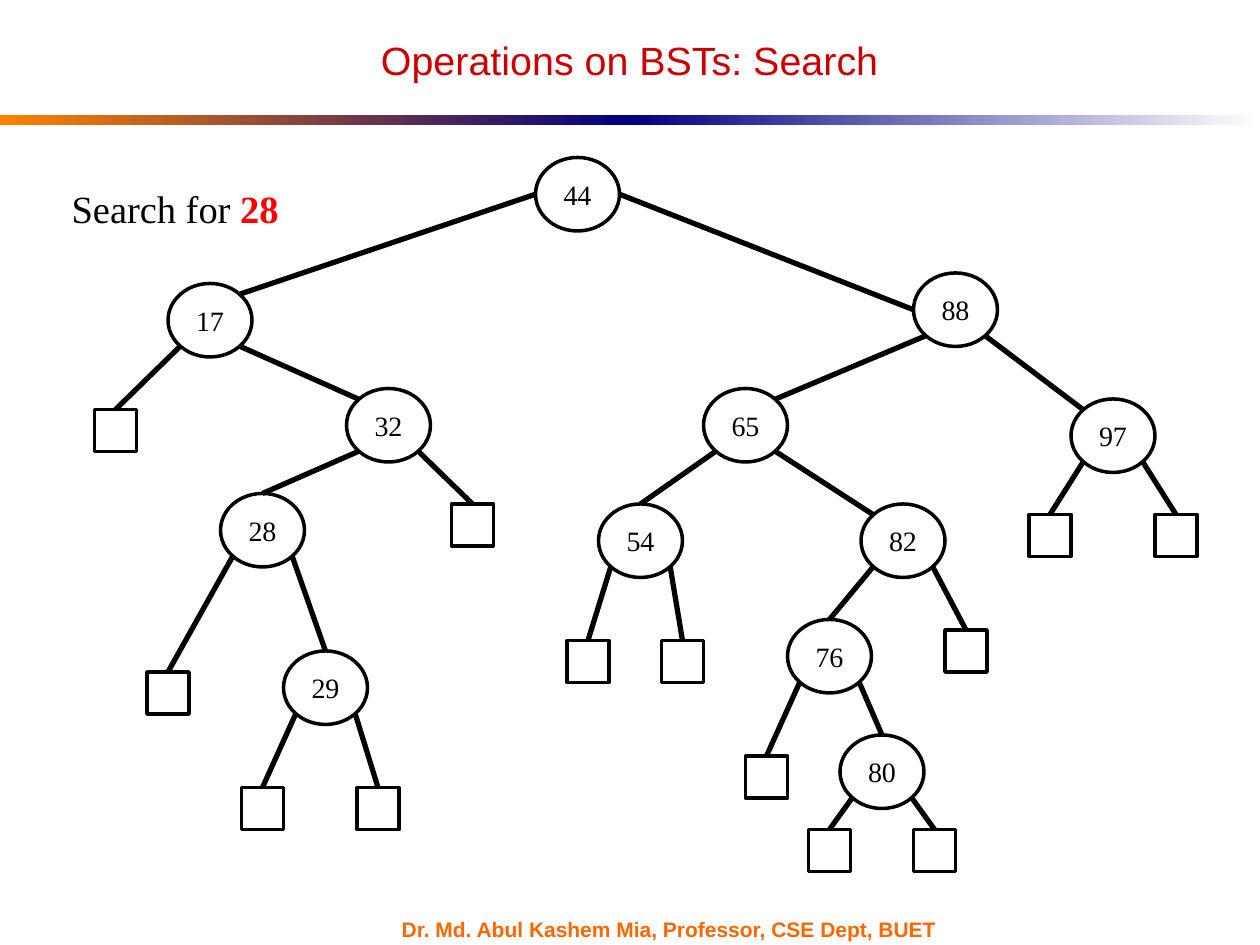
import pptx
import pptx.dml.color
import pptx.enum.shapes
import pptx.enum.text
import pptx.oxml.ns
import pptx.util
from lxml import etree

COLORS = {
    "ink": "000000", "paper": "FFFFFF", "title": "CC0000", "target": "FF0000",
    "footer": "FF6600", "orange": "FF8200", "navy": "000082",
}
SERIF, SANS = "Times New Roman", "Arial"
WIDTH, HEIGHT = 10, 7.5
COLUMNS, ROWS = 120, 90
NODE_SIZE, LEAF_SIZE = (8, 7), (4, 4)

# key: (column, row, parent, side left on parent, side met on node)
NODES = {
    "44": (51, 15, None, None, None),
    "17": (16, 27, "44", "left", "top right"),
    "32": (33, 37, "17", "bottom right", "top left"),
    "28": (21, 47, "32", "bottom left", "top"),
    "29": (27, 62, "28", "bottom right", "top"),
    "88": (87, 26, "44", "right", "left"),
    "65": (67, 37, "88", "bottom left", "top right"),
    "97": (102, 38, "88", "bottom right", "top left"),
    "54": (57, 48, "65", "bottom left", "top"),
    "82": (82, 48, "65", "bottom right", "top left"),
    "76": (75, 59, "82", "bottom left", "top"),
    "80": (80, 70, "76", "bottom right", "top"),
}
LEAVES = [
    (9, 39, "17", "bottom left"), (43, 48, "32", "bottom right"),
    (14, 64, "28", "bottom left"),
    (23, 75, "29", "bottom left"), (34, 75, "29", "bottom right"),
    (54, 61, "54", "bottom left"), (63, 61, "54", "bottom right"),
    (98, 49, "97", "bottom left"), (110, 49, "97", "bottom right"),
    (71, 72, "76", "bottom left"), (90, 60, "82", "bottom right"),
    (77, 79, "80", "bottom left"), (87, 79, "80", "bottom right"),
]
BANDS = [("orange", "navy"), ("navy", "paper")]
TITLE = "Operations on BSTs: Search"
QUERY = [("Search for ", "ink", False), ("28", "target", True)]
FOOTER = "Dr. Md. Abul Kashem Mia, Professor, CSE Dept, BUET"

SHAPES = pptx.enum.shapes.MSO_SHAPE
MIDDLE = pptx.enum.text.MSO_ANCHOR.MIDDLE
CENTER = pptx.enum.text.PP_ALIGN.CENTER
DIAGONAL = 0.5 ** 0.5
DIRECTIONS = {"left": (-1, 0), "right": (1, 0), "top": (0, -1), "bottom": (0, 1)}

deck = pptx.Presentation()
deck.slide_width, deck.slide_height = pptx.util.Inches(WIDTH), pptx.util.Inches(HEIGHT)
slide = deck.slides.add_slide(deck.slide_layouts[6])


def rgb(name):
    return pptx.dml.color.RGBColor.from_string(COLORS[name])


def inches(*lengths):
    return [pptx.util.Inches(length) for length in lengths]


def on_grid(column, row):
    return inches(column * WIDTH / COLUMNS, row * HEIGHT / ROWS)


def set_font(font, face, size, color, bold=False):
    font.name, font.size, font.bold = face, pptx.util.Pt(size), bold
    font.color.rgb = rgb(color)


def add_tree_box(kind, column, row, size):
    box = slide.shapes.add_shape(kind, *on_grid(column, row), *on_grid(*size))
    box.shadow.inherit = False
    box.fill.solid()
    box.fill.fore_color.rgb = rgb("paper")
    box.line.color.rgb = rgb("ink")
    box.line.width = pptx.util.Pt(2)
    return box


def rim_point(key, side):
    column, row = NODES[key][:2]
    words = side.split()
    reach = DIAGONAL if len(words) == 2 else 1
    across = sum(DIRECTIONS[word][0] for word in words) * reach
    down = sum(DIRECTIONS[word][1] for word in words) * reach
    return on_grid(column + NODE_SIZE[0] / 2 * (1 + across),
                   row + NODE_SIZE[1] / 2 * (1 + down))


def add_edge(start, end):
    edge = slide.shapes.add_connector(pptx.enum.shapes.MSO_CONNECTOR.STRAIGHT, *start, *end)
    edge.line.color.rgb = rgb("ink")
    edge.line.width = pptx.util.Pt(3)
    etree.SubElement(edge._element.spPr, pptx.oxml.ns.qn("a:effectLst"))
    return edge


def add_text(left, top, width, height, wrap, anchor):
    frame = slide.shapes.add_textbox(*inches(left, top, width, height)).text_frame
    frame.word_wrap, frame.vertical_anchor = wrap, anchor
    return frame.paragraphs[0]


for index, ends in enumerate(BANDS):
    band = slide.shapes.add_shape(
        SHAPES.RECTANGLE, *inches(index * WIDTH / 2, 0.91, WIDTH / 2, 0.08))
    band.shadow.inherit = False
    band.line.fill.background()
    band.fill.gradient()
    band.fill.gradient_angle = 0
    for position, (stop, color) in enumerate(zip(band.fill.gradient_stops, ends)):
        stop.position, stop.color.rgb = position, rgb(color)

footer = add_text(3.09, 7.28, 4.67, 0.18, False, MIDDLE)
footer.text = FOOTER
set_font(footer.font, SANS, 12, "footer", True)

for key, (column, row, parent, start_side, end_side) in NODES.items():
    node = add_tree_box(SHAPES.OVAL, column, row, NODE_SIZE)
    node.text_frame.vertical_anchor = MIDDLE
    label = node.text_frame.paragraphs[0]
    label.text, label.alignment = key, CENTER
    set_font(label.font, SERIF, 16, "ink")
    if parent:
        add_edge(rim_point(parent, start_side), rim_point(key, end_side))

for column, row, parent, side in LEAVES:
    leaf = add_tree_box(SHAPES.RECTANGLE, column, row, LEAF_SIZE)
    edge = add_edge(rim_point(parent, side), on_grid(column + LEAF_SIZE[0] / 2, row))
    edge.end_connect(leaf, 0)

query = add_text(0.47, 1.42, 2.09, 0.47, False, pptx.enum.text.MSO_ANCHOR.TOP)
for words, color, bold in QUERY:
    run = query.add_run()
    run.text = words
    set_font(run.font, SERIF, 22, color, bold)

title = add_text(0.5, 0.25, 9, 0.51, True, MIDDLE)
title.text, title.alignment, title.line_spacing = TITLE, CENTER, 0.8
set_font(title.font, SANS, 22.5, "title")

deck.save("out.pptx")
